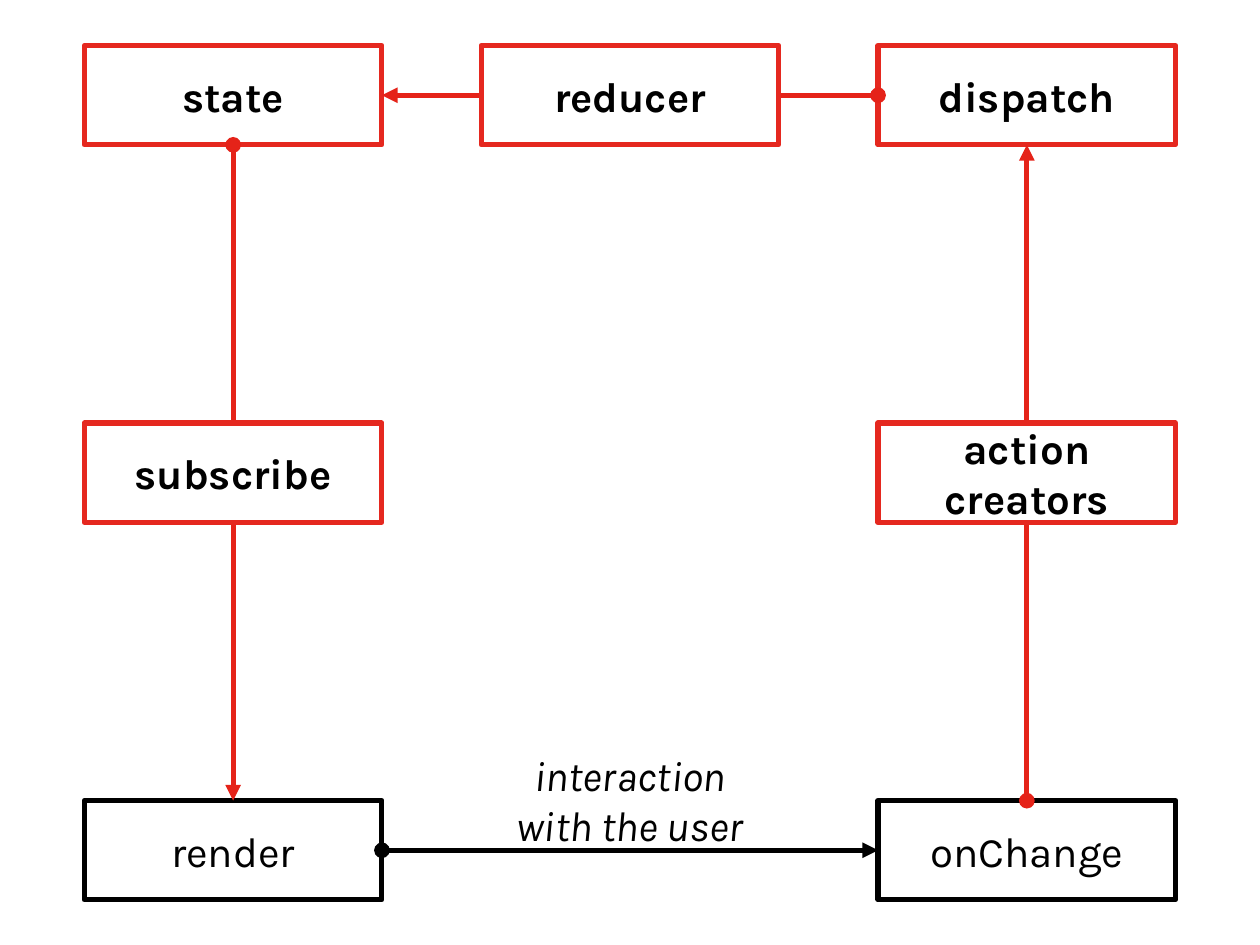
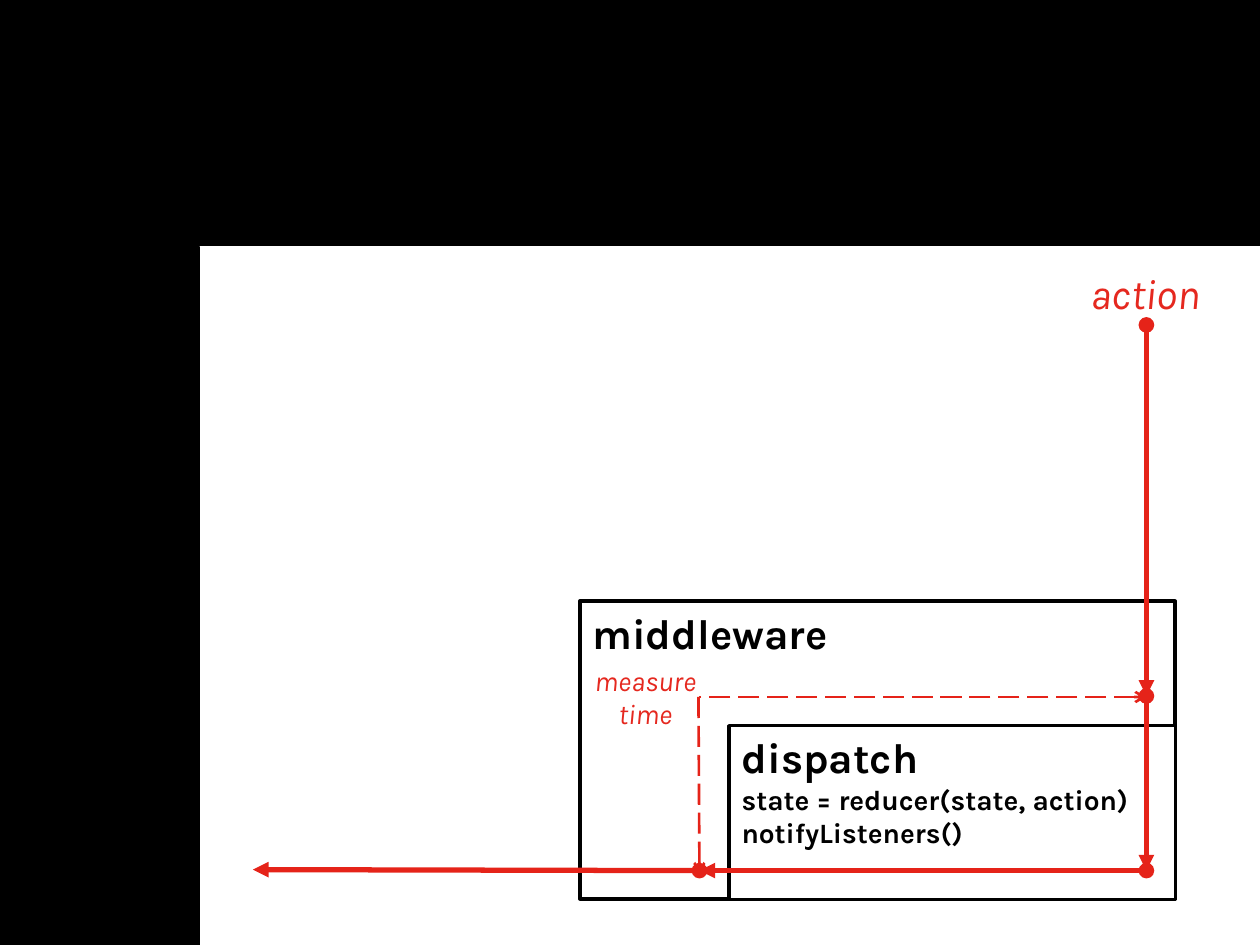
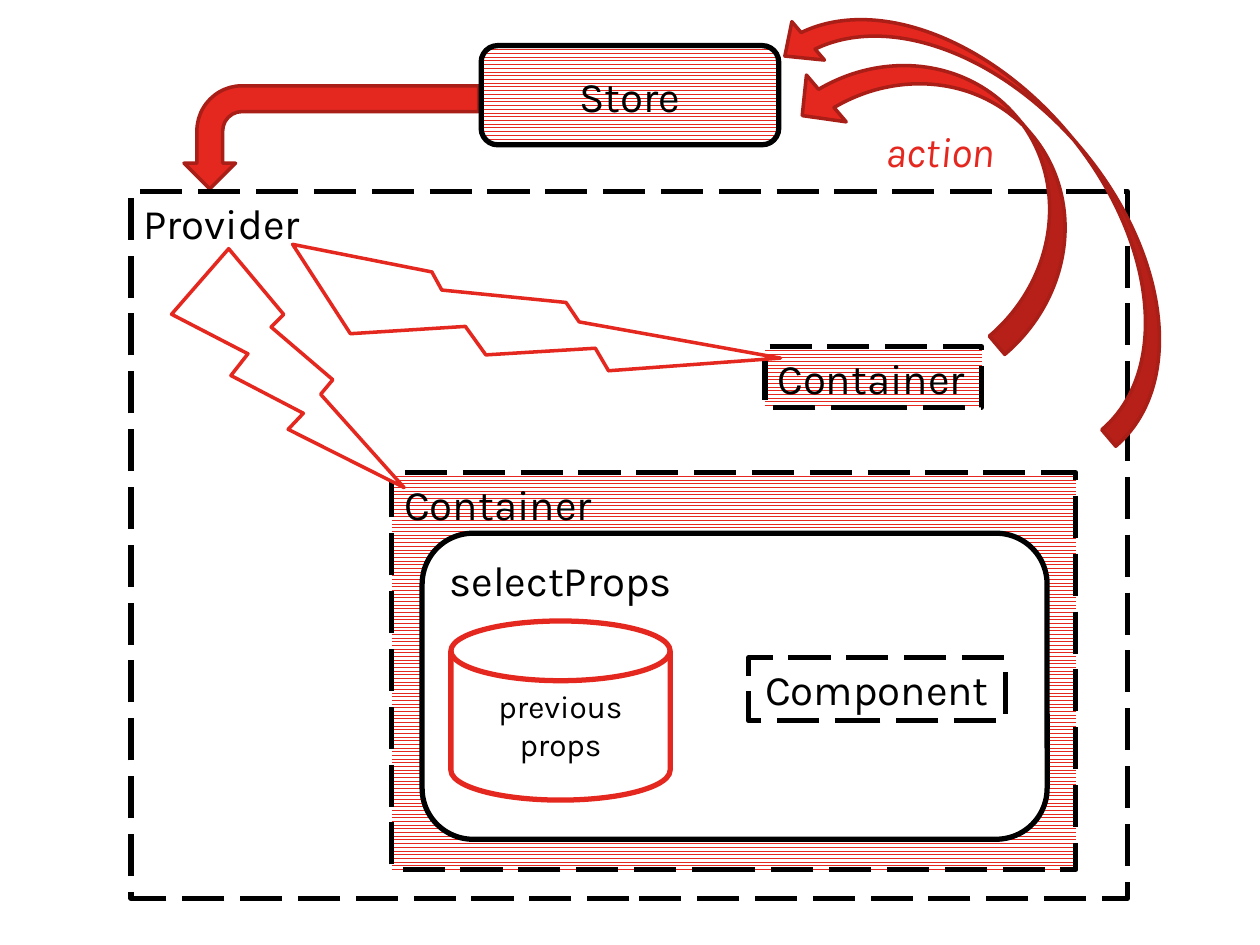
from lxml.etree import SubElement
from pptx import Presentation
from pptx.dml.color import RGBColor
from pptx.enum.dml import MSO_LINE as Dash, MSO_PATTERN as Pattern
from pptx.enum.shapes import MSO_CONNECTOR as Connector, MSO_SHAPE as Shape
from pptx.enum.text import MSO_ANCHOR as Anchor, MSO_AUTO_SIZE as AutoSize, PP_ALIGN as Align
from pptx.oxml.ns import qn
from pptx.util import Cm, Pt

FONT = "Karla"
BLACK, WHITE = "000000", "FFFFFF"
RED, ARROW_RED, DARK_RED = "E5281F", "E52319", "A91E17"
PAGE = (0, 0, 25.4, 19.05)
NODE_WIDTH, NODE_HEIGHT = 6, 2


def color(value):
    """Turn a hex string into a colour."""
    return RGBColor.from_string(value)


def inside(box, left, top, width, height):
    """Shift a rectangle in centimetres by the corner of a box."""
    return box[0] + left, box[1] + top, width, height


def stroke(line, value, width, dash=None):
    """Style an outline with round joins."""
    line.color.rgb = color(value)
    line.width = Pt(width)
    if dash:
        line.dash_style = dash
    outline = line._get_or_add_ln()
    SubElement(outline, qn("a:round"))
    return outline


def write(shape, lines, size=24, ink=BLACK, bold=False, italic=False,
          align=Align.CENTER, anchor=Anchor.MIDDLE):
    """Fill a shape with lines; a line is a text or a pair of text and size."""
    frame = shape.text_frame
    frame.word_wrap = True
    frame.vertical_anchor = anchor
    for index, line in enumerate(lines):
        text, points = line if isinstance(line, tuple) else (line, size)
        para = frame.add_paragraph() if index else frame.paragraphs[0]
        para.text = text
        para.alignment = align
        font = para.font
        font.name, font.size = FONT, Pt(points)
        font.bold, font.italic = bold, italic
        font.color.rgb = color(ink)


def block(page, kind, box, fill=WHITE, line=BLACK, width=3, dash=None,
          hatched=False, turn=0, lines=(), **style):
    """Draw a preset shape with fill, outline and optional text."""
    shape = page.shapes.add_shape(kind, *map(Cm, box))
    shape.shadow.inherit = False
    shape.rotation = turn
    if hatched:
        shape.fill.patterned()
        shape.fill.pattern = Pattern.ZIG_ZAG
        shape.fill.fore_color.rgb = color(RED)
        shape.fill.back_color.rgb = color(WHITE)
    elif fill:
        shape.fill.solid()
        shape.fill.fore_color.rgb = color(fill)
    else:
        shape.fill.background()
    stroke(shape.line, line, width, dash)
    write(shape, lines, **style)
    return shape


def panel(page, box, *lines, kind=Shape.RECTANGLE, **style):
    """Draw a container whose text starts at the top left."""
    return block(page, kind, box, lines=lines, align=Align.LEFT, anchor=Anchor.TOP, **style)


def label(page, box, text, grow=True, **style):
    """Write a free italic label."""
    caption = page.shapes.add_textbox(*map(Cm, box))
    write(caption, [text], italic=True, **style)
    if grow:
        caption.text_frame.auto_size = AutoSize.SHAPE_TO_FIT_TEXT


def link(page, box, start, end, line=ARROW_RED, width=3, dash=None,
         head="oval", tail="triangle"):
    """Connect two points of a box with a straight line."""
    points = [Cm(box[axis] + point[axis]) for point in (start, end) for axis in (0, 1)]
    wire = page.shapes.add_connector(Connector.STRAIGHT, *points)
    outline = stroke(wire.line, line, width, dash)
    for tag, kind in (("a:headEnd", head), ("a:tailEnd", tail)):
        if kind:
            SubElement(outline, qn(tag), type=kind)
    SubElement(wire._element.spPr, qn("a:effectLst"))


def draw_cycle(page, box):
    """Lay out the update cycle on a grid of three columns and rows."""
    def cell(column, row):
        return inside(box, 1.7 + 8 * column, 0.92 + 7.61 * row, NODE_WIDTH, NODE_HEIGHT)

    def node(text, column, row, own=True):
        block(page, Shape.RECTANGLE, cell(column, row), line=RED if own else BLACK,
              lines=[text], bold=own)

    node("state", 0, 0)
    node("render", 0, 2, own=False)
    node("onChange", 2, 2, own=False)
    label(page, inside(cell(1, 2), 0, -1.02, NODE_WIDTH, NODE_HEIGHT),
          "interaction with the user", grow=False)
    node("dispatch", 2, 0)
    middle, center = NODE_HEIGHT / 2, NODE_WIDTH / 2
    across, down = 16, 15.22
    corner = cell(0, 0)
    link(page, corner, (NODE_WIDTH, down + middle), (across, down + middle), line=BLACK)
    link(page, corner, (across, middle), (NODE_WIDTH, middle))
    link(page, corner, (across + center, down), (across + center, NODE_HEIGHT))
    link(page, corner, (center, NODE_HEIGHT), (center, down))
    node("action creators", 2, 1)
    node("subscribe", 0, 1)
    node("reducer", 1, 0)


def draw_middleware(page, box):
    """Show an action passing through the middleware to dispatch."""
    panel(page, inside(box, 11.69, 12.12, 12, 6), "middleware", width=2, bold=True)
    panel(page, inside(box, 14.7, 14.63, 9, 3.5), "dispatch",
          ("state = reducer(state, action)", 16), ("notifyListeners()", 16),
          width=2, bold=True)
    right, left, enter, leave = 23.11, 14.1, 14.03, 17.55
    link(page, box, (right, 6.55), (right, enter))
    label(page, inside(box, 21.64, 5.26, 2.9, 1.27), "action", ink=RED)
    route = [(right, enter), (right, leave), (left, leave), (5.1, 17.53)]
    for start, end in zip(route, route[1:]):
        link(page, box, start, end)
    label(page, inside(box, 11.69, 13.23, 2.64, 1.63), "measure\vtime", size=16, ink=RED)
    dashed = {"width": 1.5, "dash": Dash.LONG_DASH}
    link(page, box, (right, 14.05), (left, 14.05), head="arrow", tail=None, **dashed)
    link(page, box, (left - 0.02, 14.05), (left, 17.62), head=None, tail="arrow", **dashed)


def draw_bands(page, box):
    """Mask the top and the left side in black."""
    for band in ((0, -0.08, 25.4, 5), (0, 4.98, 4, 14.07)):
        block(page, Shape.RECTANGLE, inside(box, *band), fill=BLACK, width=2)


def draw_container(page, box):
    """Draw the large container with its selector, cache and component."""
    panel(page, box, "Container", hatched=True, dash=Dash.LONG_DASH)
    panel(page, inside(box, 0.61, 1.22, 12.6, 6.17), "selectProps",
          kind=Shape.ROUNDED_RECTANGLE)
    block(page, Shape.RECTANGLE, inside(box, 7.19, 3.73, 5.18, 1.27), fill=None,
          dash=Dash.LONG_DASH, lines=["Component"], anchor=Anchor.TOP)
    block(page, Shape.FLOWCHART_MAGNETIC_DISK, inside(box, 1.19, 2.99, 4.42, 3.61),
          line=RED, lines=["previous\vprops"], size=18, anchor=Anchor.TOP)


def draw_store(page, box):
    """Show how the store feeds containers and receives actions."""
    solid = {"fill": RED, "line": DARK_RED, "width": 2}
    feed = block(page, Shape.BENT_ARROW, inside(box, 5.64, -0.2, 2.08, 5.94),
                 turn=270, **solid)
    feed._element.spPr.xfrm.set("flipH", "1")
    panel(page, inside(box, 2.64, 3.86, 20.09, 14.25), "Provider", dash=Dash.LONG_DASH)
    draw_container(page, inside(box, 7.9, 9.53, 13.79, 8))
    block(page, Shape.ROUNDED_RECTANGLE, inside(box, 9.7, 0.92, NODE_WIDTH, NODE_HEIGHT),
          hatched=True, lines=["Store"])
    label(page, inside(box, 17.5, 2.41, 2.9, 1.27), "action", ink=RED)
    for place, bends in (((14.86, 2.11, 10.82, 3.35), (0.13, 0.303, 0.166)),
                         ((15.8, 1.8, 6.93, 3.28), (0.147, 0.377, 0.181))):
        arrow = block(page, Shape.CURVED_UP_ARROW, inside(box, *place), turn=229.7, **solid)
        for index, bend in enumerate(bends):
            arrow.adjustments[index] = bend
    panel(page, inside(box, 15.42, 6.99, 4.37, 1.22), "Container", hatched=True,
          dash=Dash.LONG_DASH)
    for place, turn in (((3.84, 4.83, 3.68, 5.54), 345.7), ((9.07, 1.65, 3.02, 9.93), 293.6)):
        block(page, Shape.LIGHTNING_BOLT, inside(box, *place), line=RED, width=2, turn=turn)


def build():
    """Build the deck and save it."""
    deck = Presentation()
    deck.slide_width, deck.slide_height = Cm(PAGE[2]), Cm(PAGE[3])
    for parts in ((draw_cycle,), (draw_middleware, draw_bands), (draw_store,)):
        page = deck.slides.add_slide(deck.slide_layouts[6])
        for draw in parts:
            draw(page, PAGE)
    deck.save("out.pptx")


build()
